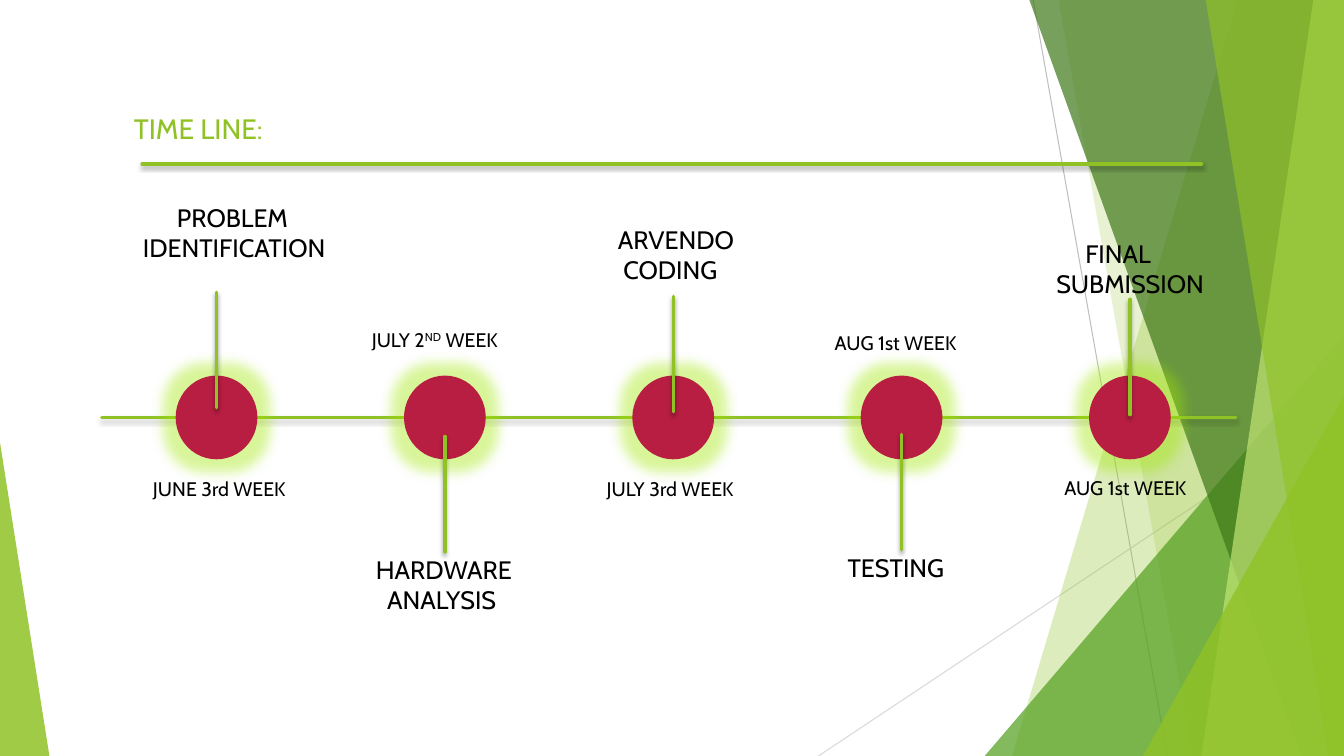
from dataclasses import dataclass
from typing import Any, NamedTuple

from pptx import Presentation
from pptx.dml.color import RGBColor
from pptx.enum.shapes import MSO_CONNECTOR, MSO_SHAPE
from pptx.enum.text import MSO_ANCHOR, MSO_AUTO_SIZE
from pptx.oxml import parse_xml
from pptx.oxml.ns import nsdecls, qn
from pptx.util import Pt

STRAIGHT = MSO_CONNECTOR.STRAIGHT
TRIANGLE = MSO_SHAPE.ISOSCELES_TRIANGLE
OVAL = MSO_SHAPE.OVAL
TOP, BOTTOM = MSO_ANCHOR.TOP, MSO_ANCHOR.BOTTOM
NO_AUTOFIT = MSO_AUTO_SIZE.NONE


@dataclass(frozen=True)
class Theme:
    font: str = "Cabin"
    green: str = "90C226"
    mid_green: str = "54A021"
    dark_green: str = "3F7819"
    pale_green: str = "C0E474"
    glow: str = "A0E800"
    marker: str = "B71E42"
    ink: str = "000000"
    steep_hairline: str = "BFBFBF"
    flat_hairline: str = "D9D9D9"
    title_size: float = 20
    label_size: float = 18
    date_size: float = 14
    hairline: float = 0.75
    rule: float = 2.5


class Stroke(NamedTuple):
    x1: float
    y1: float
    x2: float
    y2: float
    color: str
    width: float
    shadow: bool = True


class Facet(NamedTuple):
    corners: tuple[tuple[float, float], ...]
    color: str
    alpha: int


class Wedge(NamedTuple):
    left: float
    top: float
    width: float
    apex: float
    color: str
    alpha: int


class Line(NamedTuple):
    text: str
    indent: float = 0
    superscript: str = ""
    rest: str = ""


class Caption(NamedTuple):
    left: float
    top: float
    width: float
    height: float
    lines: tuple[Line, ...]
    size: float
    color: str
    anchor: Any = TOP


class Milestone(NamedTuple):
    stem_top: float
    label_at: tuple[float, float]
    label: tuple[Line, ...]
    date_at: tuple[float, float]
    date: Line


THEME = Theme()
WIDTH, HEIGHT = 960, 540
EDGE = -0.6
AXIS_Y = 298.2
FIRST_X, PITCH = 154.7, 163.1
MARKER_W, MARKER_H = 58.4, 59.8
STEM = 82.4


def set_all(target: Any, values: dict[str, Any]) -> None:
    for name, value in values.items():
        setattr(target, name, value)


def color_xml(color: str, alpha: int) -> str:
    return f'<a:srgbClr val="{color}"><a:alpha val="{alpha * 1000}"/></a:srgbClr>'


def add_effects(shape: Any, inner: str = "") -> None:
    shape._element.spPr.append(
        parse_xml(f'<a:effectLst {nsdecls("a")}>{inner}</a:effectLst>'))


def paint(shape: Any, color: str, alpha: int = 100, effects: str = "") -> None:
    shape.fill.solid()
    shape.fill.fore_color.rgb = RGBColor.from_string(color)
    shape.line.fill.background()
    fill = shape._element.spPr.find(qn("a:solidFill"))
    fill[0].append(parse_xml(f'<a:alpha {nsdecls("a")} val="{alpha * 1000}"/>'))
    add_effects(shape, effects)


def draw_stroke(shapes: Any, stroke: Stroke) -> None:
    line = shapes.add_connector(STRAIGHT, *map(Pt, stroke[:4]))
    line.line.color.rgb = RGBColor.from_string(stroke.color)
    line.line.width = Pt(stroke.width)
    if stroke.shadow:
        line._element.spPr.find(qn("a:ln")).set("cap", "rnd")
    add_effects(line, (
        f'<a:outerShdw blurRad="{Pt(3)}" dist="{Pt(2)}" dir="5400000" '
        f'rotWithShape="0">{color_xml(THEME.ink, 35)}</a:outerShdw>'
    ) if stroke.shadow else "")


def draw_facet(shapes: Any, facet: Facet) -> None:
    start, *others = [(Pt(x), Pt(y)) for x, y in facet.corners]
    builder = shapes.build_freeform(*start)
    builder.add_line_segments(others, close=True)
    paint(builder.convert_to_shape(), facet.color, facet.alpha)


def draw_wedge(shapes: Any, wedge: Wedge) -> None:
    box = (wedge.left, wedge.top, wedge.width, HEIGHT - wedge.top)
    triangle = shapes.add_shape(TRIANGLE, *map(Pt, box))
    triangle.adjustments[0] = wedge.apex
    paint(triangle, wedge.color, wedge.alpha)


def draw_marker(shapes: Any, center: float) -> None:
    box = (center - MARKER_W / 2, AXIS_Y - MARKER_H / 2, MARKER_W, MARKER_H)
    paint(shapes.add_shape(OVAL, *map(Pt, box)), THEME.marker,
          effects=f'<a:glow rad="{Pt(18)}">{color_xml(THEME.glow, 40)}</a:glow>')


def draw_caption(shapes: Any, caption: Caption) -> None:
    frame = shapes.add_textbox(*map(Pt, caption[:4])).text_frame
    set_all(frame, {"word_wrap": True, "auto_size": NO_AUTOFIT,
                    "vertical_anchor": caption.anchor})
    for index, line in enumerate(caption.lines):
        paragraph = frame.add_paragraph() if index else frame.paragraphs[0]
        paragraph._p.get_or_add_pPr().set("indent", str(Pt(line.indent)))
        for text, baseline in ((line.text, 0), (line.superscript, 30000), (line.rest, 0)):
            if text:
                run = paragraph.add_run()
                run.text = text
                set_all(run.font, {"name": THEME.font, "size": Pt(caption.size)})
                run.font.color.rgb = RGBColor.from_string(caption.color)
                run._r.get_or_add_rPr().set("baseline", str(baseline))


def right_band(top_x: float, bottom_x: float, color: str, alpha: int) -> Facet:
    return Facet(((top_x, EDGE), (WIDTH, EDGE), (WIDTH, HEIGHT), (bottom_x, HEIGHT)),
                 color, alpha)


BACKDROP = (
    Stroke(738, 0, 833.8, HEIGHT, THEME.steep_hairline, THEME.hairline, False),
    Stroke(WIDTH, 290.2, 584.6, HEIGHT, THEME.flat_hairline, THEME.hairline, False),
    right_band(884.2, 722.9, THEME.green, 30),
    right_band(756, 851.8, THEME.green, 20),
    Wedge(703.4, 239.8, 256.6, 1, THEME.mid_green, 72),
    right_band(735.1, 929.5, THEME.dark_green, 70),
    right_band(938.2, 858.2, THEME.pale_green, 70),
    right_band(861.1, 949, THEME.green, 65),
    Wedge(816.5, 283, 143.5, 1, THEME.green, 80),
    Wedge(0, 316.1, 35.3, 0, THEME.green, 85),
    Stroke(101.5, 117.2, 858.2, 117.2, THEME.green, THEME.rule),
    Caption(88.6, 6.5, 303.8, 100.8, (Line("TIME LINE:"),),
            THEME.title_size, THEME.green, BOTTOM),
    Stroke(72.7, AXIS_Y, 882.7, AXIS_Y, THEME.green, THEME.rule),
)

MILESTONES = (
    Milestone(208.8, (95, 141.1), (Line("PROBLEM", 24.3), Line("IDENTIFICATION")),
              (102.2, 337.4), Line("JUNE 3rd WEEK")),
    Milestone(311.8, (261.4, 392.4), (Line("HARDWARE"), Line("ANALYSIS", 8)),
              (258.5, 230.4), Line("JULY 2", 0, "ND", " WEEK")),
    Milestone(211.7, (434.2, 156.4), (Line("ARVENDO"), Line("CODING", 4)),
              (426.2, 337), Line("JULY 3rd WEEK")),
    Milestone(310.3, (598.3, 391), (Line("TESTING"),),
              (589, 232.6), Line("AUG 1st WEEK")),
    Milestone(213.8, (747.4, 166.8), (Line("FINAL SUBMISSION", 20.7),),
              (753.1, 336.7), Line("AUG 1st WEEK")),
)

DRAW = {Stroke: draw_stroke, Facet: draw_facet, Wedge: draw_wedge, Caption: draw_caption}

deck = Presentation()
set_all(deck, {"slide_width": Pt(WIDTH), "slide_height": Pt(HEIGHT)})
canvas = deck.slides.add_slide(deck.slide_layouts[6]).shapes
for part in BACKDROP:
    DRAW[type(part)](canvas, part)
for order, step in enumerate(MILESTONES):
    x = FIRST_X + order * PITCH
    draw_marker(canvas, x)
    draw_stroke(canvas, Stroke(x, step.stem_top, x, step.stem_top + STEM,
                               THEME.green, THEME.rule))
    draw_caption(canvas, Caption(*step.label_at, 150.5, 51.1, step.label,
                                 THEME.label_size, THEME.ink))
    draw_caption(canvas, Caption(*step.date_at, 138.2, 24.5, (step.date,),
                                 THEME.date_size, THEME.ink))
deck.save("out.pptx")
